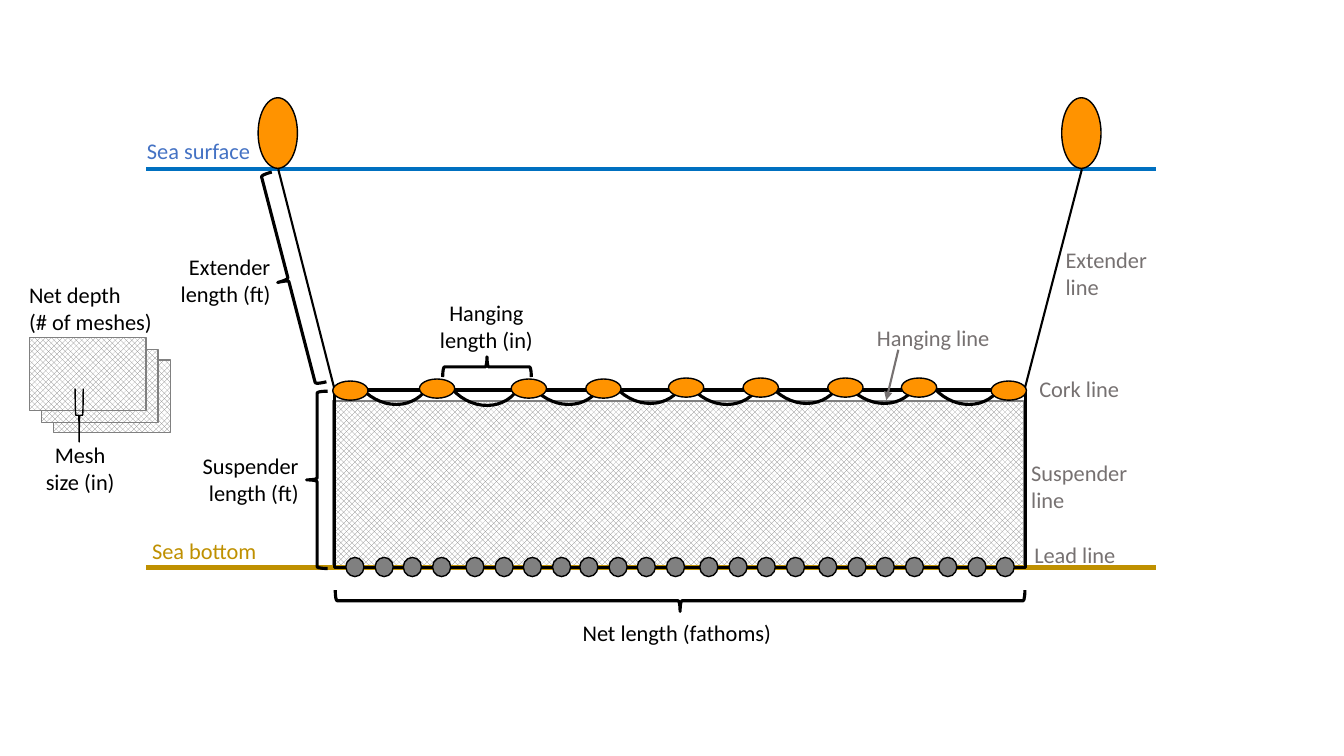
"""Build a slide that names the parts and measures of a set net."""
import dataclasses

import lxml.etree
import pptx
import pptx.dml.color
import pptx.enum.dml
import pptx.enum.shapes
import pptx.enum.text
import pptx.oxml.ns
import pptx.util


@dataclasses.dataclass(frozen=True)
class Theme:
    """Colours, font and sizes in points."""
    black: str = "000000"
    white: str = "FFFFFF"
    grey: str = "767171"
    mesh: str = "808080"
    cork: str = "FF9300"
    water: str = "0070C0"
    sea: str = "4472C4"
    sand: str = "BF9000"
    font: str = "Calibri"
    text: int = 16
    thin: float = 1
    mid: float = 1.5
    bold: float = 2.25
    thick: float = 3


THEME = Theme()
PX = 9144
WIDE, HIGH = 1333, 750

NET = (330, 398, 685, 165)
FRAME = (332, 387, 685, 176)
ARC = (76, 86)
ARC_TURN = 131.4
ARC_ENDS = (158.8, 7.13)
ARCS = [(350, 318), (440, 319), (521, 318), (602, 317),
        (678, 318), (757, 317), (834, 317), (918, 318)]
BUOY = (39, 70)
BUOYS = [(256, 97), (1053, 97)]
CORK = (35, 19)
CORKS = [(330, 378), (416, 376), (507, 376), (581, 376), (663, 375),
         (737, 375), (821, 375), (894, 375), (983, 378)]
LEAD = (18, 19)
LEAD_TOP, LEAD_GAP, LEAD_SUM = 553, 28.6, 23
LEAD_SETS = [343, 462, 575, 694, 812, 931]
LEADS = [(left + round(step * LEAD_GAP), LEAD_TOP)
         for left in LEAD_SETS for step in range(4)][:LEAD_SUM]
CARD = (116, 72)
CARDS = [(53, 357), (41, 347), (29, 335)]

LINES = [
    ((145, 168), (1147, 168), THEME.water, THEME.thick),
    ((145, 563), (1147, 563), THEME.sand, THEME.thick),
]
ROPES = [
    ((332, 387), (276, 168), THEME.black, THEME.mid),
    ((1016, 387), (1073, 168), THEME.black, THEME.mid),
]
POINTER = ((891, 347), (879, 397), THEME.grey, THEME.mid)
BRACES = [
    ((664, 254, 21, 684), 90, THEME.bold),
    ((304, 388, 21, 176), 180, THEME.bold),
    ((473, 320, 20, 88), 270, THEME.bold),
    ((275, 170, 22, 215), 165.4, THEME.bold),
    ((52, 408, 53, 8), 90, THEME.thin),
]
LABELS = [
    ("Net length (fathoms)", (568, 609, 209, 37), "LEFT", THEME.black),
    ("Suspender length (ft)", (172, 444, 134, 64), "RIGHT", THEME.black),
    ("Hanging length (in)", (421, 292, 123, 64), "CENTER", THEME.black),
    ("Extender length (ft)", (144, 246, 134, 64), "RIGHT", THEME.black),
    ("Cork line", (1021, 367, 134, 37), "LEFT", THEME.grey),
    ("Lead line", (1016, 532, 134, 37), "LEFT", THEME.grey),
    ("Hanging line", (860, 317, 134, 37), "LEFT", THEME.grey),
    ("Suspender line", (1013, 451, 134, 64), "LEFT", THEME.grey),
    ("Extender line", (1047, 239, 134, 64), "LEFT", THEME.grey),
    ("Sea bottom", (141, 528, 134, 37), "LEFT", THEME.sand),
    ("Sea surface", (136, 131, 134, 37), "LEFT", THEME.sea),
    ("Net depth\n(# of meshes)", (19, 274, 148, 64), "LEFT", THEME.black),
    ("Mesh size (in)", (35, 433, 89, 64), "CENTER", THEME.black),
]


def scale(sizes):
    return [pptx.util.Emu(size * PX) for size in sizes]


def tint(code):
    return pptx.dml.color.RGBColor.from_string(code)


def stroke(line, color, width):
    line.color.rgb = tint(color)
    line.width = pptx.util.Pt(width)


def add_shape(slide, kind, box, fill=None, color=THEME.black,
              width=THEME.thin, turn=0):
    preset = getattr(pptx.enum.shapes.MSO_SHAPE, kind)
    shape = slide.shapes.add_shape(preset, *scale(box))
    shape.shadow.inherit = False
    shape.rotation = turn
    if fill:
        shape.fill.solid()
        shape.fill.fore_color.rgb = tint(fill)
    else:
        shape.fill.background()
    stroke(shape.line, color, width)
    return shape


def add_mesh(slide, box):
    fill = add_shape(slide, "RECTANGLE", box, color=THEME.mesh).fill
    fill.patterned()
    fill.pattern = pptx.enum.dml.MSO_PATTERN.OUTLINED_DIAMOND
    fill.fore_color.rgb = tint(THEME.mesh)
    fill.back_color.rgb = tint(THEME.white)


def add_line(slide, start, end, color, width, arrow=False):
    kind = pptx.enum.shapes.MSO_CONNECTOR.STRAIGHT
    link = slide.shapes.add_connector(kind, *scale(start + end))
    stroke(link.line, color, width)
    name = pptx.oxml.ns.qn
    props = link._element.spPr
    if arrow:
        lxml.etree.SubElement(props.find(name("a:ln")), name("a:tailEnd"),
                              type="triangle")
    lxml.etree.SubElement(props, name("a:effectLst"))


def add_label(slide, text, box, align, color):
    frame = slide.shapes.add_textbox(*scale(box)).text_frame
    frame.word_wrap = True
    frame.text = text
    for para in frame.paragraphs:
        para.alignment = getattr(pptx.enum.text.PP_ALIGN, align)
        for run in para.runs:
            run.font.name = THEME.font
            run.font.size = pptx.util.Pt(THEME.text)
            run.font.color.rgb = tint(color)


def main():
    deck = pptx.Presentation()
    deck.slide_width, deck.slide_height = scale((WIDE, HIGH))
    slide = deck.slides.add_slide(deck.slide_layouts[6])

    add_mesh(slide, NET)
    for spot in ARCS:
        arc = add_shape(slide, "ARC", spot + ARC, width=THEME.bold,
                        turn=ARC_TURN)
        for index, end in enumerate(ARC_ENDS):
            arc.adjustments[index] = end
    for line in LINES:
        add_line(slide, *line)
    add_shape(slide, "RECTANGLE", FRAME, width=THEME.bold)
    for rope in ROPES:
        add_line(slide, *rope)
    for spots, size, fill in ((BUOYS, BUOY, THEME.cork),
                              (CORKS, CORK, THEME.cork),
                              (LEADS, LEAD, THEME.mesh)):
        for spot in spots:
            add_shape(slide, "OVAL", spot + size, fill)
    for spot in CARDS:
        add_mesh(slide, spot + CARD)
    for box, turn, width in BRACES:
        add_shape(slide, "RIGHT_BRACE", box, width=width, turn=turn)
    for label in LABELS:
        add_label(slide, *label)
    add_line(slide, *POINTER, arrow=True)

    deck.save("out.pptx")


if __name__ == "__main__":
    main()
